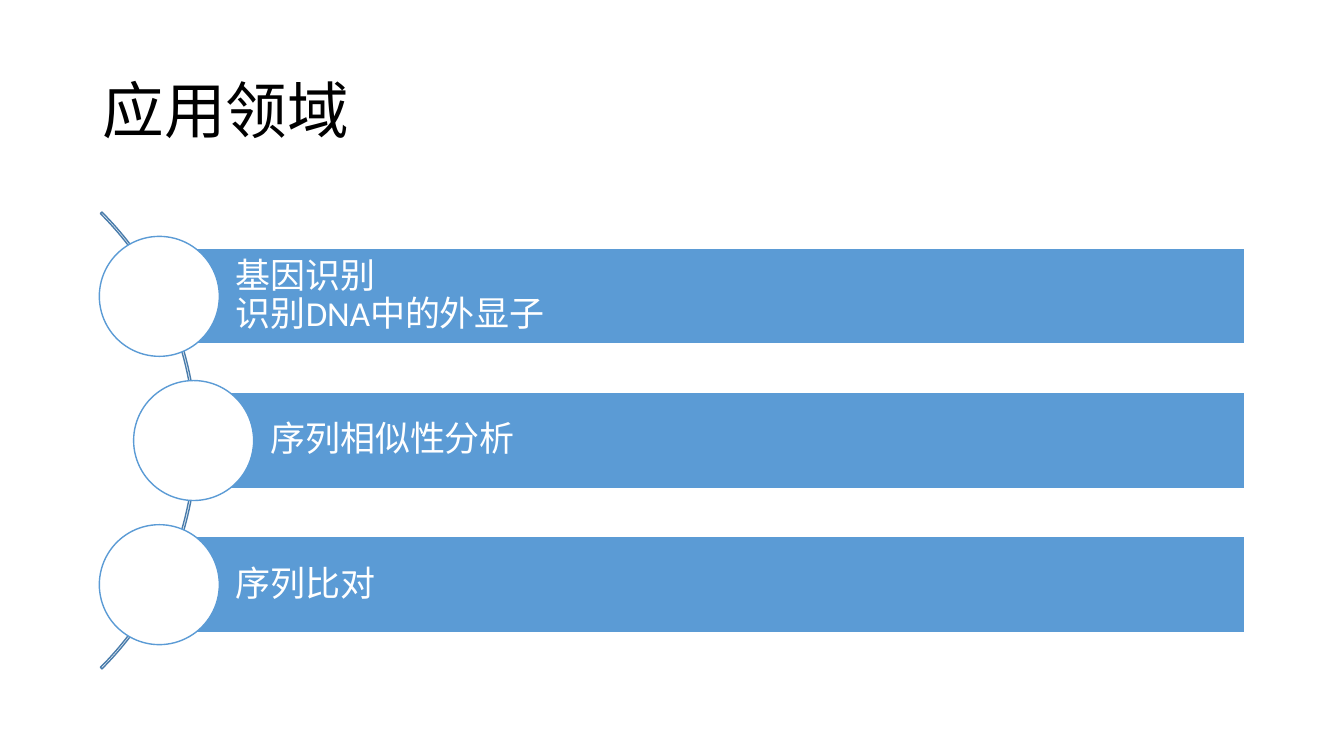
from dataclasses import dataclass
from pptx import Presentation
from pptx import util as u
from pptx.dml.color import RGBColor
from pptx.enum import shapes, text


@dataclass(frozen=True)
class Theme:
    blue: str = "5B9BD5"
    dark: str = "497CAB"
    white: str = "FFFFFF"
    black: str = "000000"
    font: str = "Calibri"
    head: int = 44
    body: int = 25


@dataclass(frozen=True)
class Topic:
    label: str
    x: float  # centre of the circle


THEME = Theme()
KIND = shapes.MSO_SHAPE
TOPICS = [
    Topic("基因识别\v识别DNA中的外显子", 1.58),
    Topic("序列相似性分析", 1.92),
    Topic("序列比对", 1.58),
]
MID, STEP = 4.37, 1.43  # centre of the list, distance between rows
RIGHT, BAR, DISC = 12.35, 0.95, 1.19
ARC, EDGE = 6.41, 1.95  # diameter and right edge of the arc

deck = Presentation()
deck.slide_width, deck.slide_height = u.Inches(13.33), u.Inches(7.5)
slide = deck.slides.add_slide(deck.slide_layouts[6])


def write(shape, words: str, *, size: int, color: str,
          left: float = 0.1, pad: float = 0.05) -> None:
    frame = shape.text_frame
    frame.word_wrap = True
    frame.vertical_anchor = text.MSO_ANCHOR.MIDDLE
    frame.margin_left = u.Inches(left)
    frame.margin_top = frame.margin_bottom = u.Inches(pad)
    para = frame.paragraphs[0]
    para.text = words
    para.alignment = text.PP_ALIGN.LEFT
    para.line_spacing = 0.9
    for run in para.runs:
        run.font.name = THEME.font
        run.font.size = u.Pt(size)
        run.font.color.rgb = RGBColor.from_string(color)


def draw(kind, x: float, y: float, w: float, h: float, *,
         line: str, fill: str | None = None):
    shape = slide.shapes.add_shape(kind, *map(u.Inches, (x, y, w, h)))
    shape.shadow.inherit = False
    if fill:
        shape.fill.solid()
        shape.fill.fore_color.rgb = RGBColor.from_string(fill)
    else:
        shape.fill.background()
    shape.line.color.rgb = RGBColor.from_string(line)
    shape.line.width = u.Pt(1)
    return shape


def add_row(topic: Topic, y: float) -> None:
    bar = draw(KIND.RECTANGLE, topic.x, y - BAR / 2, RIGHT - topic.x, BAR,
               line=THEME.white, fill=THEME.blue)
    write(bar, topic.label, size=THEME.body, color=THEME.white,
          left=0.76, pad=0.07)
    draw(KIND.OVAL, topic.x - DISC / 2, y - DISC / 2, DISC, DISC,
         line=THEME.blue, fill=THEME.white)


# Title
title = slide.shapes.add_textbox(*map(u.Inches, (0.92, 0.4, 11.5, 1.45)))
write(title, "应用领域", size=THEME.head, color=THEME.black)

# Arc behind the circles
arc = draw(KIND.BLOCK_ARC, EDGE - ARC, MID - ARC / 2, ARC, ARC, line=THEME.dark)
for i, value in enumerate((189, 27, 0.0034)):
    arc.adjustments[i] = value

# Topic rows
for i, topic in enumerate(TOPICS):
    add_row(topic, MID + (i - 1) * STEP)

deck.save("out.pptx")
